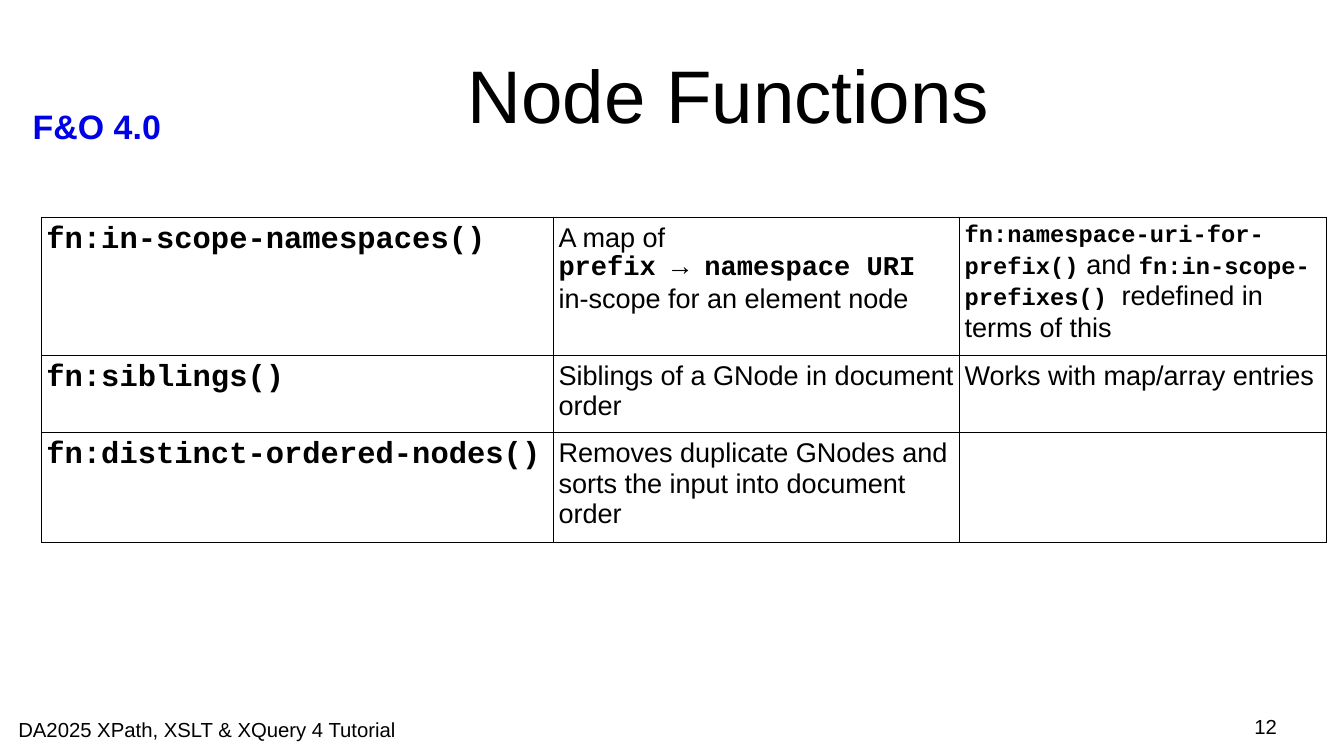
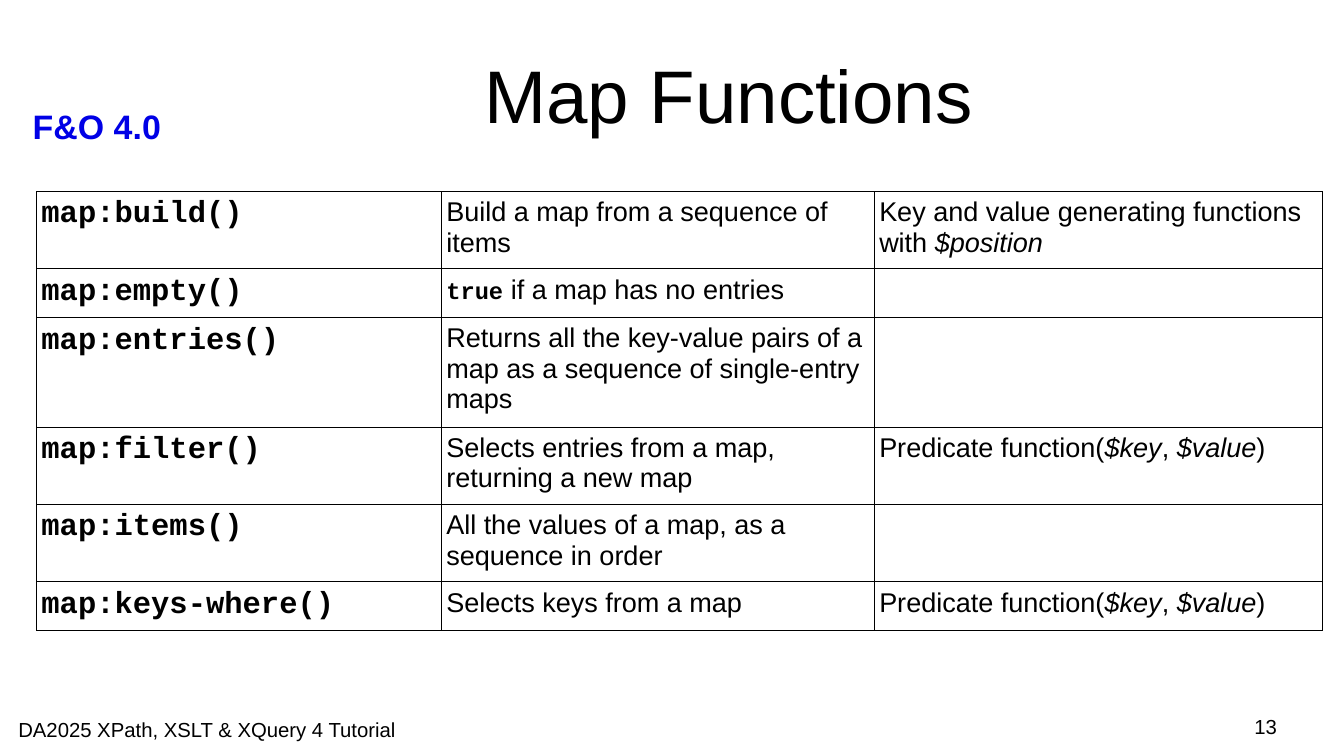
import copy
import pptx
import pptx.dml.color
import pptx.enum.text
import pptx.oxml
import pptx.oxml.ns
import pptx.util

BLACK = pptx.dml.color.RGBColor(0x00, 0x00, 0x00)
BLUE = pptx.dml.color.RGBColor(0x00, 0x00, 0xE6)
SLIDE_WIDTH, SLIDE_HEIGHT = 11.02, 6.2
BORDER_WIDTH = 0.57
SANS, MONO = "Arial", "Courier New"
ALIGN = pptx.enum.text.PP_ALIGN
ANCHOR = pptx.enum.text.MSO_ANCHOR

STYLES = {
    "title": {"name": SANS, "size": 44},
    "badge": {"name": SANS, "size": 20, "bold": True, "color": BLUE},
    "footer": {"name": SANS, "size": 12},
    "function": {"name": MONO, "size": 18, "bold": True},
    "body": {"name": SANS, "size": 16},
    "variable": {"name": SANS, "size": 16, "italic": True},
    "code": {"name": MONO, "size": 16, "bold": True},
    "small code": {"name": MONO, "size": 14, "bold": True},
}

BADGE_BOX = (0.17, 0.82, 1.38, 0.41)
TITLE_BOX = (1.48, 0.25, 8.99, 1.04)
FOOTER_BOX = (0.15, 5.88, 3.49, 0.19)
NUMBER_BOX = (7.9, 5.86, 2.57, 0.24)

PREDICATE = [
    ("Predicate function(", "body"), ("$key", "variable"), (", ", "body"),
    ("$value", "variable"), (")", "body"),
]

PAGES = [
    {
        "title": "Node Functions",
        "number": 12,
        "origin": (0.34, 1.78),
        "columns": (4.2, 3.33, 3.01),
        "rows": [
            (1.13, "fn:in-scope-namespaces()",
             [("A map of\n", "body"), ("prefix → namespace URI\n", "code"),
              ("in-scope for an element node", "body")],
             [("fn:namespace-uri-for-prefix()", "small code"), (" and ", "body"),
              ("fn:in-scope-prefixes() ", "small code"),
              ("redefined in terms of this", "body")]),
            (0.63, "fn:siblings()",
             [("Siblings of a GNode in document order", "body")],
             [("Works with map/array entries", "body")]),
            (0.9, "fn:distinct-ordered-nodes()",
             [("Removes duplicate GNodes and sorts the input into document order", "body")],
             []),
        ],
    },
    {
        "title": "Map Functions",
        "number": 13,
        "origin": (0.3, 1.57),
        "columns": (3.32, 3.55, 3.67),
        "rows": [
            (0.63, "map:build()",
             [("Build a map from a sequence of items", "body")],
             [("Key and value generating functions with ", "body"),
              ("$position", "variable")]),
            (0.4, "map:empty()",
             [("true", "small code"), (" if a map has no entries", "body")],
             []),
            (0.9, "map:entries()",
             [("Returns all the key-value pairs of a map as a sequence of "
               "single-entry maps", "body")],
             []),
            (0.63, "map:filter()",
             [("Selects entries from a map, returning a new map", "body")],
             PREDICATE),
            (0.63, "map:items()",
             [("All the values of a map, as a sequence in order", "body")],
             []),
            (0.4, "map:keys-where()",
             [("Selects keys from a map", "body")],
             PREDICATE),
        ],
    },
]


def inches(values):
    return [pptx.util.Inches(value) for value in values]


def set_font(font, style):
    values = {"bold": False, "italic": False, **style}
    font.color.rgb = values.pop("color", BLACK)
    values["size"] = pptx.util.Pt(values["size"])
    for attribute, value in values.items():
        setattr(font, attribute, value)


def add_runs(paragraph, runs):
    for text, style_name in runs:
        run = paragraph.add_run()
        run.text = text.rstrip("\n")
        set_font(run.font, STYLES[style_name])
        if text.endswith("\n"):
            paragraph.add_line_break()
            paragraph._p[-1].append(copy.deepcopy(run._r.rPr))


def set_margins(target, horizontal, vertical):
    for side, margin in (("left", horizontal), ("right", horizontal),
                         ("top", vertical), ("bottom", vertical)):
        setattr(target, f"margin_{side}", pptx.util.Inches(margin))


def add_text(slide, box, text, style_name, align=ALIGN.LEFT, anchor=ANCHOR.TOP,
             margins=(0, 0)):
    frame = slide.shapes.add_textbox(*inches(box)).text_frame
    frame.word_wrap = True
    frame.vertical_anchor = anchor
    set_margins(frame, *margins)
    paragraph = frame.paragraphs[0]
    paragraph.alignment = align
    add_runs(paragraph, [(text, style_name)])


def add_borders(cell):
    properties = cell._tc.get_or_add_tcPr()
    for side in ("L", "R", "T", "B"):
        properties.append(pptx.oxml.parse_xml(
            f'<a:ln{side} {pptx.oxml.ns.nsdecls("a")} w="{pptx.util.Pt(BORDER_WIDTH)}">'
            f'<a:solidFill><a:srgbClr val="{BLACK}"/></a:solidFill></a:ln{side}>'))


def add_function_table(slide, origin, columns, rows):
    size = (sum(columns), sum(row[0] for row in rows))
    table = slide.shapes.add_table(
        len(rows), len(columns), *inches(origin + size)).table
    table.first_row = False
    table.horz_banding = False
    for column, width in zip(table.columns, columns):
        column.width = pptx.util.Inches(width)
    for row, (height, name, description, remark) in zip(table.rows, rows):
        row.height = pptx.util.Inches(height)
        contents = ([(name, "function")], description, remark)
        for cell, runs in zip(row.cells, contents):
            add_borders(cell)
            cell.fill.background()
            set_margins(cell, 0.04, 0.05)
            add_runs(cell.text_frame.paragraphs[0], runs)


def add_frame(slide, title, number):
    add_text(slide, BADGE_BOX, "F&O 4.0", "badge", margins=(0.1, 0.05))
    add_text(slide, TITLE_BOX, title, "title", ALIGN.CENTER, ANCHOR.MIDDLE)
    add_text(slide, FOOTER_BOX, "DA2025 XPath, XSLT & XQuery 4 Tutorial", "footer")
    add_text(slide, NUMBER_BOX, str(number), "footer", ALIGN.RIGHT)


def main():
    presentation = pptx.Presentation()
    presentation.slide_width = pptx.util.Inches(SLIDE_WIDTH)
    presentation.slide_height = pptx.util.Inches(SLIDE_HEIGHT)
    for page in PAGES:
        slide = presentation.slides.add_slide(presentation.slide_layouts[6])
        add_frame(slide, page["title"], page["number"])
        add_function_table(slide, page["origin"], page["columns"], page["rows"])
    presentation.save("out.pptx")


if __name__ == "__main__":
    main()
